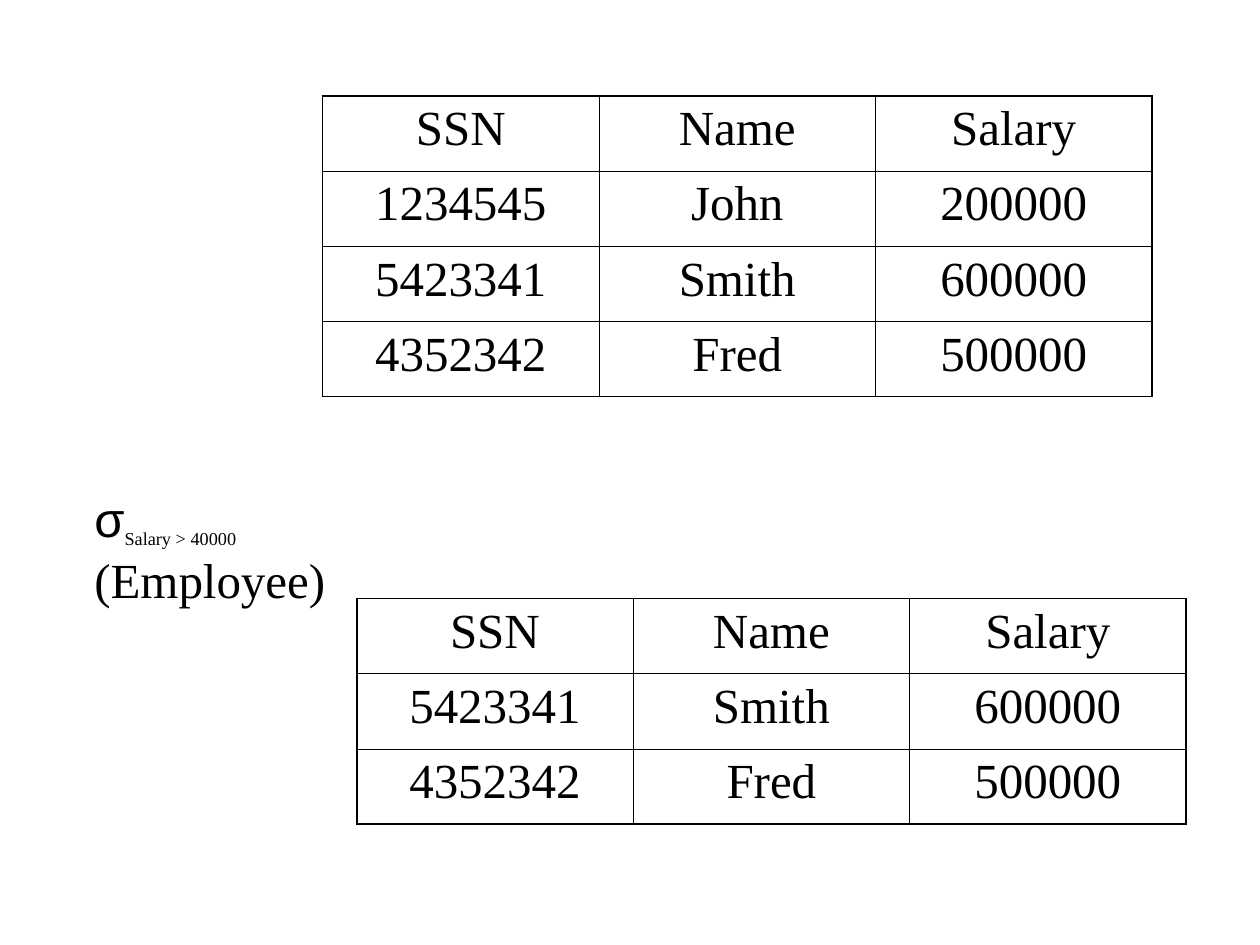
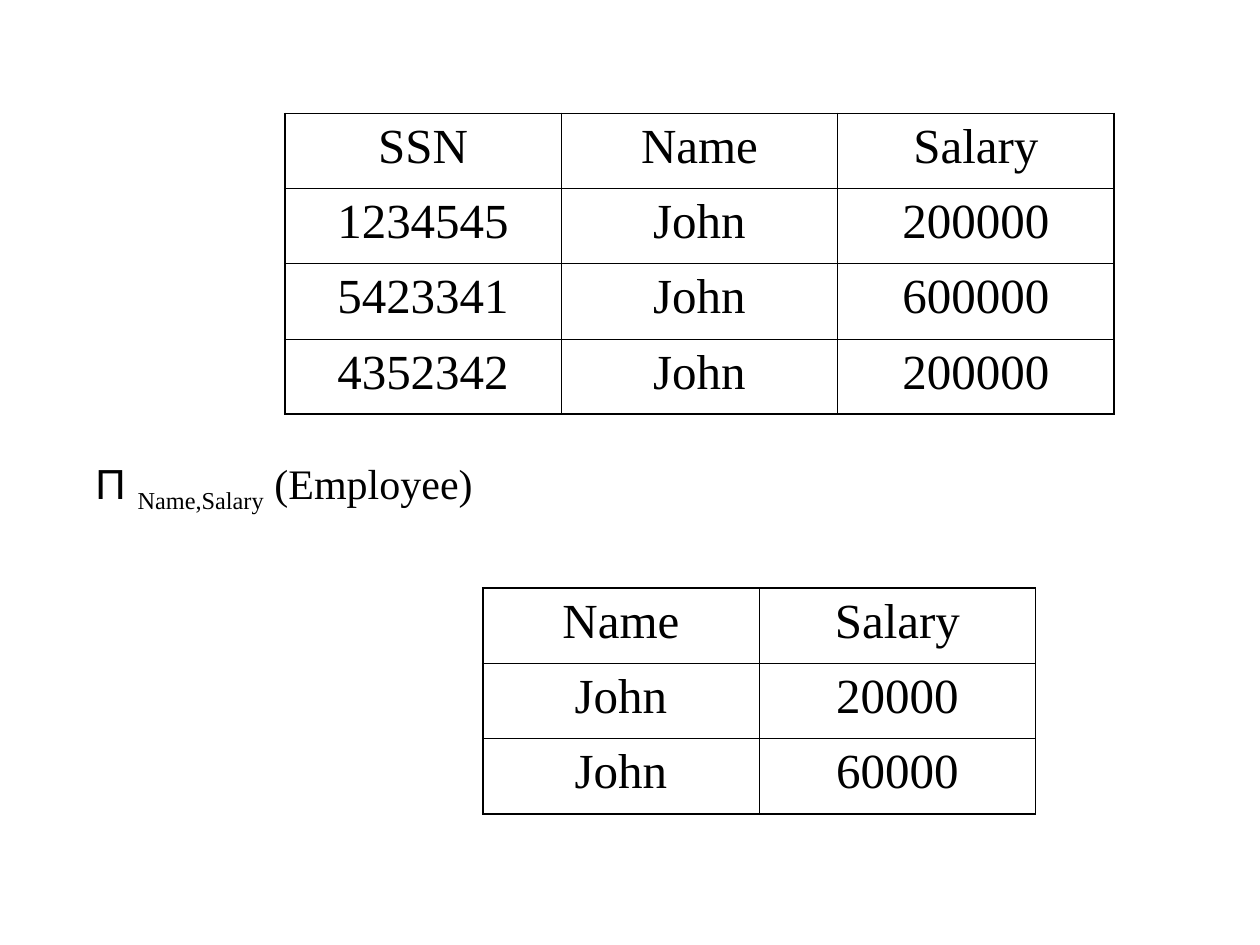
from lxml import etree
from pptx import Presentation
from pptx import util as u
from pptx.dml import color
from pptx.enum import text
from pptx.oxml import ns

Pt = u.Pt
INK = "000000"
SERIF, SANS = "Times New Roman", "Arial"
COL_W, ROW_H = 158, 43
OUTER, INNER = 1.08, 0.45
HEADER = ("SSN", "Name", "Salary")


def rgb(value):
    """Return the colour for a hex string."""
    return color.RGBColor.from_string(value)


def add_run(p, words, size=28, font=SERIF, ink=INK, subscript=False):
    """Append a formatted run to a paragraph."""
    r = p.add_run()
    r.text = words
    r.font.size = Pt(size)
    r.font.name = font
    r.font.color.rgb = rgb(ink)
    if subscript:
        r.font._element.set("baseline", "-25000")


def add_border(cell, side, width, ink=INK):
    """Draw one side of a cell, where side is L, R, T or B."""
    tcPr = cell._tc.get_or_add_tcPr()
    ln = etree.SubElement(tcPr, ns.qn(f"a:ln{side}"), w=str(int(Pt(width))))
    fill = etree.SubElement(ln, ns.qn("a:solidFill"))
    etree.SubElement(fill, ns.qn("a:srgbClr"), val=ink)


def add_relation(s, left, top, rows):
    """Add a relation as a ruled table with a heavier outline."""
    n_rows, n_cols = len(rows), len(rows[0])
    table = s.shapes.add_table(n_rows, n_cols, Pt(left), Pt(top),
                               Pt(n_cols * COL_W), Pt(n_rows * ROW_H)).table
    table.first_row = table.horz_banding = False
    for i, values in enumerate(rows):
        for j, value in enumerate(values):
            cell = table.cell(i, j)
            p = cell.text_frame.paragraphs[0]
            p.alignment = text.PP_ALIGN.CENTER
            p.space_before = Pt(7)
            add_run(p, value)
            edges = {"L": j == 0, "R": j == n_cols - 1,
                     "T": i == 0, "B": i == n_rows - 1}
            for side, is_outer in edges.items():
                add_border(cell, side, OUTER if is_outer else INNER)
            cell.fill.background()


def add_expression(s, left, top, width, height, runs, size, space, wrap):
    """Add a relational algebra expression made of formatted runs."""
    tf = s.shapes.add_textbox(Pt(left), Pt(top), Pt(width), Pt(height)).text_frame
    tf.word_wrap = wrap
    tf.auto_size = text.MSO_AUTO_SIZE.SHAPE_TO_FIT_TEXT
    p = tf.paragraphs[0]
    p.space_before = Pt(space)
    for words, style in runs:
        add_run(p, words, **{"size": size, **style})


def add_selection_slide(prs):
    """Show the employees that a selection keeps."""
    s = prs.slides.add_slide(prs.slide_layouts[6])
    kept = [("5423341", "Smith", "600000"), ("4352342", "Fred", "500000")]
    add_expression(s, 46.8, 275.8, 220, 41.8, [
        ("σ", {"font": SANS}),
        ("Salary > 40000 ", {"size": 18, "subscript": True}),
        ("(Employee)", {}),
    ], size=28, space=7, wrap=True)
    add_relation(s, 184.3, 54.7, [HEADER, ("1234545", "John", "200000"), *kept])
    add_relation(s, 203.8, 342, [HEADER, *kept])


def add_projection_slide(prs):
    """Show the distinct rows that a projection gives."""
    s = prs.slides.add_slide(prs.slide_layouts[6])
    add_expression(s, 47.5, 257.8, 230.4, 40.3, [
        ("Π ", {"font": SANS}),
        ("Name,Salary", {"subscript": True}),
        (" (Employee)", {}),
    ], size=24, space=6, wrap=False)
    add_relation(s, 162.7, 64.8, [
        HEADER,
        ("1234545", "John", "200000"),
        ("5423341", "John", "600000"),
        ("4352342", "John", "200000"),
    ])
    add_relation(s, 275.8, 336.2, [HEADER[1:], ("John", "20000"), ("John", "60000")])


def main():
    """Build and save the presentation."""
    prs = Presentation()
    prs.slide_width, prs.slide_height = Pt(720), Pt(540)
    add_selection_slide(prs)
    add_projection_slide(prs)
    prs.save("out.pptx")


if __name__ == "__main__":
    main()
